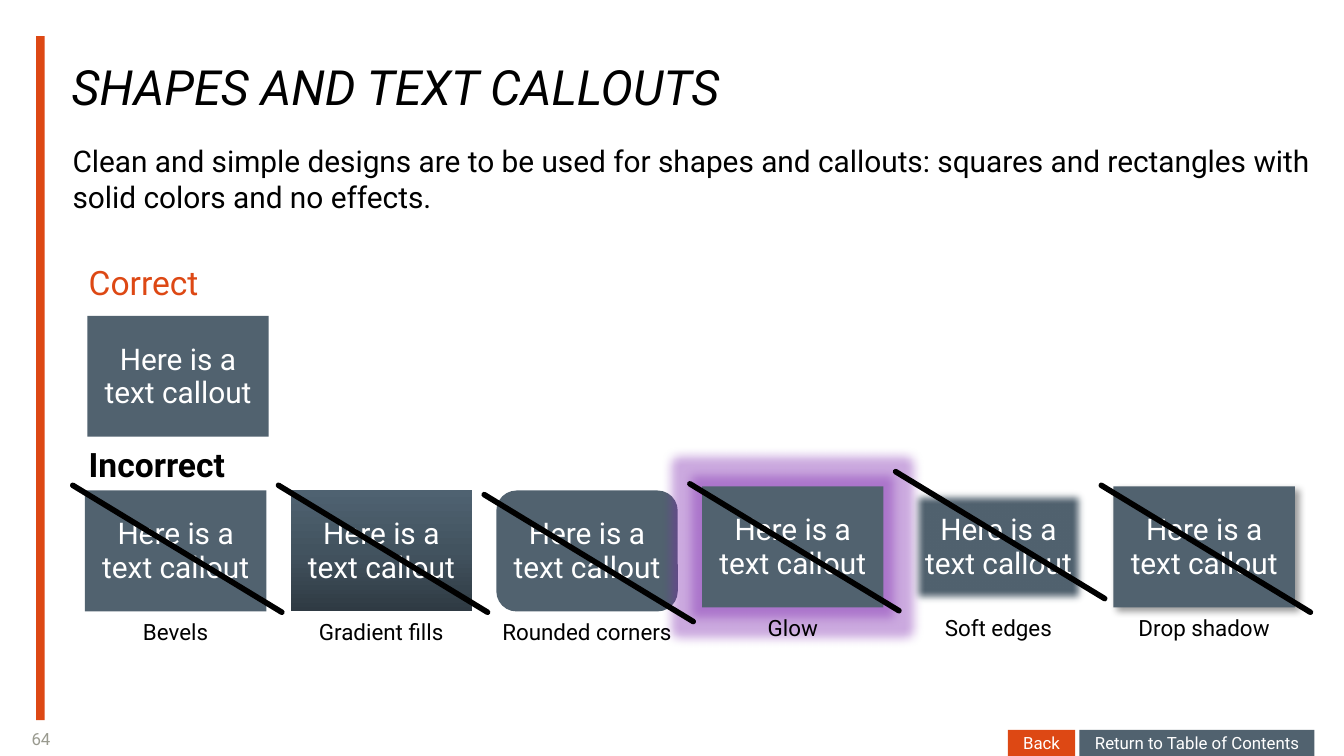
from copy import deepcopy

from lxml import etree
from pptx import Presentation
from pptx.dml.color import RGBColor
from pptx.enum.shapes import MSO_CONNECTOR, MSO_SHAPE
from pptx.enum.text import MSO_ANCHOR, PP_ALIGN
from pptx.oxml import parse_xml
from pptx.oxml.ns import qn
from pptx.util import Pt

RECTANGLE, ROUNDED = MSO_SHAPE.RECTANGLE, MSO_SHAPE.ROUNDED_RECTANGLE
STRAIGHT = MSO_CONNECTOR.STRAIGHT
TOP, MIDDLE, BOTTOM = MSO_ANCHOR.TOP, MSO_ANCHOR.MIDDLE, MSO_ANCHOR.BOTTOM
LEFT, CENTER = PP_ALIGN.LEFT, PP_ALIGN.CENTER

BLACK = RGBColor(0x00, 0x00, 0x00)
WHITE = RGBColor(0xFF, 0xFF, 0xFF)
ORANGE = RGBColor(0xDD, 0x48, 0x14)
SLATE = RGBColor(0x51, 0x62, 0x6F)
GREY = RGBColor(0x99, 0x9A, 0x8F)
GRADIENT = [
    (0, RGBColor(0x2F, 0x3A, 0x43)),
    (0.5, RGBColor(0x42, 0x53, 0x5F)),
    (1, RGBColor(0x4F, 0x62, 0x71)),
]

NAMESPACE = 'xmlns:a="http://schemas.openxmlformats.org/drawingml/2006/main"'
BEVEL = f'<a:sp3d {NAMESPACE}><a:bevelT/></a:sp3d>'
EFFECTS = {
    "Glow": f'<a:glow {NAMESPACE} rad="139700"><a:srgbClr val="7D28AF">'
            '<a:alpha val="40000"/></a:srgbClr></a:glow>',
    "Soft edges": f'<a:softEdge {NAMESPACE} rad="63500"/>',
    "Drop shadow": f'<a:outerShdw {NAMESPACE} blurRad="50800" dist="38100" dir="2700000" '
                   'algn="tl" rotWithShape="0"><a:srgbClr val="000000">'
                   '<a:alpha val="40000"/></a:srgbClr></a:outerShdw>',
}

deck = Presentation()
deck.slide_width, deck.slide_height = Pt(720), Pt(405)
page = deck.slides.add_slide(deck.slide_layouts[6])


def write_text(box, text, size, color, align=LEFT, anchor=TOP, insets=(0, 0), spacing=None, **styles):
    frame = box.text_frame
    frame.word_wrap = True
    frame.vertical_anchor = anchor
    frame.margin_left = frame.margin_right = Pt(insets[0])
    frame.margin_top = frame.margin_bottom = Pt(insets[1])
    para = frame.paragraphs[0]
    para.alignment = align
    para.line_spacing = spacing
    span = para.add_run()
    span.text = text
    span.font.color.rgb = color
    for name, value in {"name": "Roboto", "size": Pt(size), **styles}.items():
        setattr(span.font, name, value)


def add_block(preset, place, color):
    block = page.shapes.add_shape(preset, *map(Pt, place))
    block.shadow.inherit = False
    block.fill.solid()
    block.fill.fore_color.rgb = color
    block.line.fill.background()
    return block


add_block(RECTANGLE, (19.4, 19.4, 4.6, 366.5), ORANGE)

intro = ("Clean and simple designs are to be used for shapes and callouts: "
         "squares and rectangles with solid colors and no effects.")
texts = [
    ((0, 386.6, 43.9, 18.7), "64", 9, GREY, {"align": CENTER, "anchor": MIDDLE}),
    ((38.4, 18.7, 604.8, 43.2), "SHAPES AND TEXT CALLOUTS", 26, BLACK, {"anchor": BOTTOM, "italic": True}),
    ((38.9, 76.3, 663.1, 309.6), intro, 16, BLACK, {}),
    ((47.5, 140.4, 284.4, 28.8), "Correct", 18, ORANGE, {}),
    ((47.5, 237.6, 284.4, 28.8), "Incorrect", 18, BLACK, {"bold": True}),
]
for place, text, size, color, styles in texts:
    box = page.shapes.add_textbox(*map(Pt, place))
    write_text(box, text, size, color, **styles)

CALLOUT_WIDTH, CALLOUT_HEIGHT = 97.2, 64.8
CAPTION_WIDTH = 139
FIRST_LEFT, PITCH = 45.5, 110.2
HIGH, LOW = 260.6, 262.8
callout_format = {"align": CENTER, "anchor": MIDDLE, "spacing": Pt(18)}
callout_text = ("Here is a text callout", 16, WHITE)

correct = add_block(RECTANGLE, (46.8, 169.2, CALLOUT_WIDTH, CALLOUT_HEIGHT), SLATE)
write_text(correct, *callout_text, insets=(7.2, 3.6), **callout_format)

mistakes = [
    ("Bevels", LOW, 260),
    ("Gradient fills", LOW, 260),
    ("Rounded corners", LOW, 265),
    ("Glow", HIGH, 259.2),
    ("Soft edges", HIGH, 252.7),
    ("Drop shadow", HIGH, 260),
]
for index, (caption, top, strike_top) in enumerate(mistakes):
    left = FIRST_LEFT + index * PITCH
    rounded = caption == "Rounded corners"
    callout = add_block(ROUNDED if rounded else RECTANGLE, (left, top, CALLOUT_WIDTH, CALLOUT_HEIGHT), SLATE)
    write_text(callout, *callout_text, insets=(0, 0) if rounded else (7.2, 3.6), **callout_format)
    properties = callout._element.spPr
    if caption == "Bevels":
        properties.append(parse_xml(BEVEL))
    if caption == "Gradient fills":
        callout.fill.gradient()
        callout.fill.gradient_angle = 90
        stop_list = properties.find(".//" + qn("a:gsLst"))
        stop_list.append(deepcopy(stop_list[-1]))
        for stop, (position, color) in zip(callout.fill.gradient_stops, GRADIENT):
            stop.position = position
            stop.color.rgb = color
    if caption in EFFECTS:
        properties.find(qn("a:effectLst")).append(parse_xml(EFFECTS[caption]))
    label_left = left + (CALLOUT_WIDTH - CAPTION_WIDTH) / 2
    label = page.shapes.add_textbox(Pt(label_left), Pt(top + 68.4), Pt(CAPTION_WIDTH), Pt(23.8))
    write_text(label, caption, 12, BLACK, align=CENTER)

for index, (caption, top, strike_top) in enumerate(mistakes):
    left = FIRST_LEFT - 6.5 + index * PITCH
    strike = page.shapes.add_connector(STRAIGHT, Pt(left), Pt(strike_top), Pt(left + 112), Pt(strike_top + 68))
    strike.line.color.rgb = BLACK
    strike.line.width = Pt(3)
    properties = strike._element.spPr
    properties.find(qn("a:ln")).set("cap", "rnd")
    etree.SubElement(properties, qn("a:effectLst"))

buttons = [
    ("Return to Table of Contents", 578.2, 126, SLATE),
    ("Back", 540, 36, ORANGE),
]
for text, left, width, color in buttons:
    button = add_block(RECTANGLE, (left, 391, width, 14.4), color)
    write_text(button, text, 9, WHITE, align=CENTER, anchor=MIDDLE, insets=(5, 2.9))

deck.save("out.pptx")
